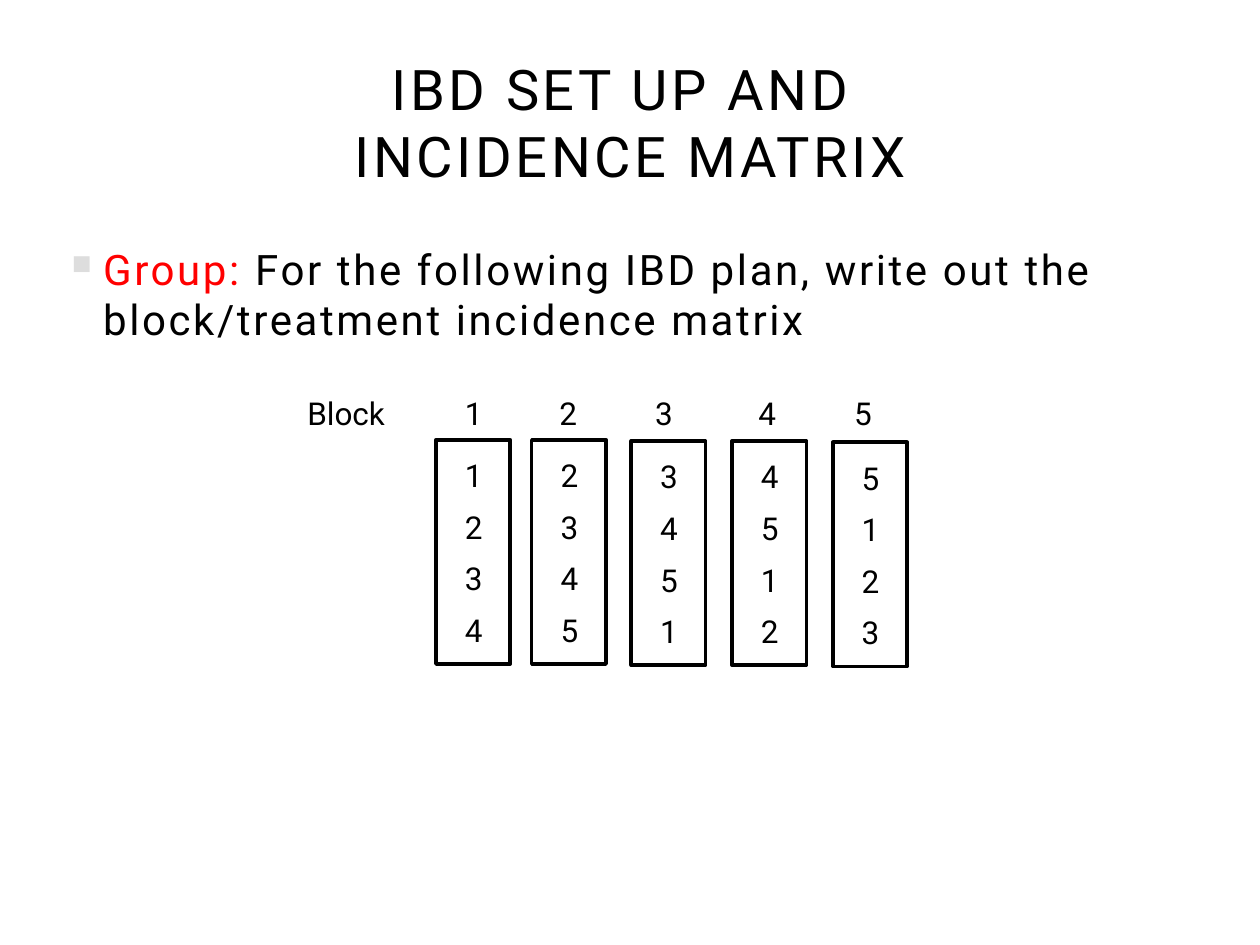
from dataclasses import dataclass

from lxml.etree import SubElement
from pptx import Presentation
from pptx.dml.color import RGBColor
from pptx.enum.shapes import MSO_SHAPE as Shape
from pptx.enum.text import MSO_ANCHOR as Anchor, MSO_AUTO_SIZE as AutoSize, PP_ALIGN as Align
from pptx.oxml.ns import qn
from pptx.util import Inches, Pt

COLORS = {"text": "000000", "accent": "FF0000", "bullet": "DDDDDD", "paper": "FFFFFF"}
FONT = "Roboto"
TREATMENTS = 5
PLOTS = 4


@dataclass
class Block:
    number: int
    left: float
    top: float
    header_tab: float


BLOCKS = [
    Block(1, 3.46, 3.49, 1.25),
    Block(2, 4.22, 3.49, 2.0),
    Block(3, 5.01, 3.5, 2.76),
    Block(4, 5.81, 3.5, 3.58),
    Block(5, 6.61, 3.51, 4.34),
]


def color(name: str) -> RGBColor:
    return RGBColor.from_string(COLORS[name])


def add_run(paragraph, text: str, size: float, color_name: str = "text", spacing: float = 0):
    run = paragraph.add_run()
    run.text = text
    for name, value in {"name": FONT, "size": Pt(size), "bold": False}.items():
        setattr(run.font, name, value)
    run.font.color.rgb = color(color_name)
    if spacing:
        run.font._element.set("spc", str(int(spacing * 100)))


def add_text_box(slide, left: float, top: float, width: float, height: float, **frame_format):
    shape = slide.shapes.add_textbox(Inches(left), Inches(top), Inches(width), Inches(height))
    for name, value in {"word_wrap": True, **frame_format}.items():
        setattr(shape.text_frame, name, value)
    return shape.text_frame.paragraphs[0]


def add_rectangle(slide, left: float, top: float, width: float, height: float):
    shape = slide.shapes.add_shape(
        Shape.RECTANGLE, Inches(left), Inches(top), Inches(width), Inches(height))
    shape.shadow.inherit = False
    return shape


def add_title(slide) -> None:
    shape = add_rectangle(slide, 0.42, 0.39, 9.17, 1.15)
    shape.fill.solid()
    shape.fill.fore_color.rgb = color("paper")
    shape.line.fill.background()
    shape.text_frame.vertical_anchor = Anchor.MIDDLE
    paragraph = shape.text_frame.paragraphs[0]
    paragraph.alignment = Align.CENTER
    add_run(paragraph, "IBD SET UP AND ", 32, spacing=2)
    paragraph.add_line_break()
    add_run(paragraph, "INCIDENCE MATRIX", 32, spacing=2)


def add_task(slide) -> None:
    paragraph = add_text_box(slide, 0.42, 1.88, 9.37, 5.62)
    paragraph.space_before = Pt(4.8)
    add_run(paragraph, "Group:", 24, "accent", 1.5)
    add_run(paragraph, " For the following IBD plan, write out the "
            "block/treatment incidence matrix", 24, spacing=1.5)
    # Square bullet with a hanging indent
    properties = paragraph._p.get_or_add_pPr()
    properties.set("marL", str(Inches(0.3)))
    properties.set("indent", str(Inches(-0.25)))
    bullet_color = SubElement(properties, qn("a:buClr"))
    SubElement(bullet_color, qn("a:srgbClr"), val=COLORS["bullet"])
    SubElement(properties, qn("a:buSzPct"), val="65000")
    SubElement(properties, qn("a:buChar"), char="■")


def add_block(slide, block: Block) -> None:
    shape = add_rectangle(slide, block.left, block.top, 0.59, 1.78)
    shape.fill.background()
    shape.line.color.rgb = color("text")
    shape.line.width = Pt(2)
    # Treatments run on cyclically from the block number
    for plot in range(PLOTS):
        treatment = (block.number - 1 + plot) % TREATMENTS + 1
        paragraph = add_text_box(
            slide, block.left + 0.13, block.top + 0.08 + 0.41 * plot, 0.35, 0.4,
            word_wrap=False, auto_size=AutoSize.SHAPE_TO_FIT_TEXT)
        add_run(paragraph, str(treatment), 18)


def add_header(slide, blocks: list[Block]) -> None:
    paragraph = add_text_box(slide, 2.34, 3.08, 5.32, 0.4, auto_size=AutoSize.SHAPE_TO_FIT_TEXT)
    add_run(paragraph, "\t".join(["Block", *(str(block.number) for block in blocks)]), 18)
    tab_list = SubElement(paragraph._p.get_or_add_pPr(), qn("a:tabLst"))
    for block in blocks:
        SubElement(tab_list, qn("a:tab"), pos=str(Inches(block.header_tab)), algn="l")


def main() -> None:
    presentation = Presentation()
    presentation.slide_width = Inches(10)
    presentation.slide_height = Inches(7.5)
    slide = presentation.slides.add_slide(presentation.slide_layouts[6])

    # Heading and task
    add_task(slide)
    add_title(slide)

    # Block plan
    for block in BLOCKS:
        add_block(slide, block)
    add_header(slide, BLOCKS)

    presentation.save("out.pptx")


if __name__ == "__main__":
    main()
